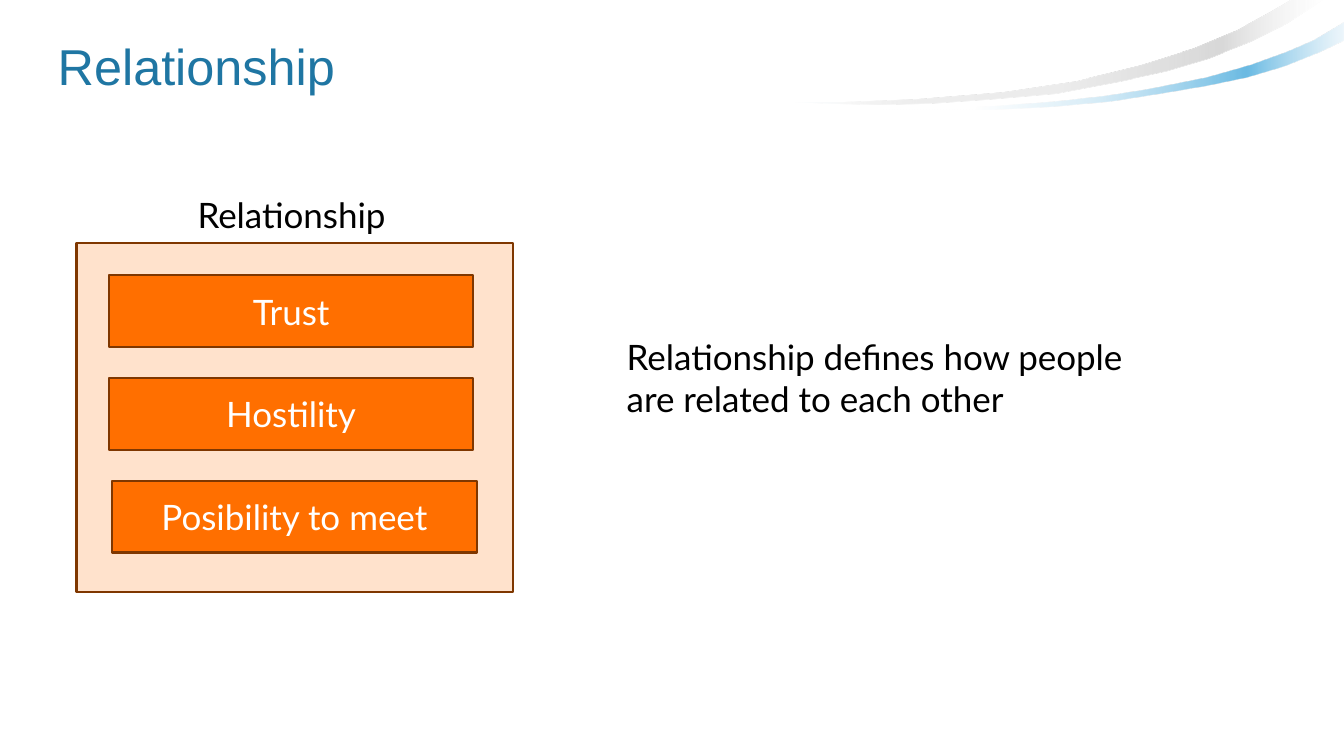
"""Build the Relationship slide."""
from lxml.etree import SubElement
from pptx import Presentation
from pptx.dml.color import RGBColor
from pptx.enum.shapes import MSO_SHAPE as Shape
from pptx.enum.text import MSO_ANCHOR as Anchor, PP_ALIGN as Align
from pptx.oxml.ns import qn
from pptx.util import Pt

COLORS = {
    "title": "1F76A3", "text": "000000", "button_text": "FFFFFF",
    "panel": "FFE2CC", "button": "FF6F00", "border": "7F3700",
    "blue": "2B9DD7", "sky": "80C4E7", "pale": "AAD8EF", "ice": "D5EBF7",
    "mist": "F2F2F2", "silver": "D9D9D9", "grey": "BFBFBF",
}
TITLE = ("Relationship", (34, 10, 890, 74))
PANEL = (54.7, 173.5, 311.8, 249.1)
BUTTONS = [("Trust", 77.6), ("Hostility", 77.6), ("Posibility to meet", 80)]
BUTTON_TOP, BUTTON_PITCH = 196.6, 73.5
BUTTON_WIDTH, BUTTON_HEIGHT = 260.6, 51.1
NOTES = [
    ("Relationship", (134, 134.6, 193, 37)),
    ("Relationship defines how people are related to each other",
     (440.6, 236.2, 391, 67)),
]
SWOOSHES = [
    {
        "points": [
            (960, 16.5), (950.4, 22.3), (938.2, 28.8), (919.4, 36.7),
            (894.2, 46.1), (861.8, 54.7), (821.5, 62.6), (789.8, 67.7),
            (753.8, 72), (714.2, 74.9), (669.6, 77), (621.4, 77.8),
            (594.7, 77.4), (619.2, 78.5), (668.2, 78.5), (706.3, 77.8),
            (748.8, 75.6), (794.2, 72), (831.6, 66.2), (861.8, 61.2),
            (890.6, 54.7), (918, 46.8), (943.2, 36.7), (960, 28.8),
        ],
        "stops": [(0, "ice", 42), (19, "blue", 70), (50, "sky", 29),
                  (72, "sky", 0), (89, "pale", 0), (100, "ice", 0)],
    },
    {
        "points": [
            (563.8, 72.7), (589, 73.9), (627.1, 74.9), (665.3, 74.2),
            (707.8, 71.3), (753.8, 67), (801.4, 58.3), (833, 51.1),
            (863.3, 41.8), (892.8, 30.2), (919.4, 16.6), (944.6, 0),
            (921.6, 0), (907.2, 9.4), (882.7, 21.6), (852.5, 34.6),
            (814.3, 46.8), (769, 57.6), (715.7, 66.2), (654.5, 71.3),
            (601.9, 72.7),
        ],
        "stops": [(0, "mist", 0), (19, "silver", 100), (50, "silver", 46),
                  (72, "silver", 45), (89, "grey", 12), (100, "sky", 0)],
    },
]


def rgb(name):
    return RGBColor.from_string(COLORS[name])


def write(box, text, size=25, font="Lato", color="text",
          align=Align.LEFT, anchor=Anchor.TOP):
    frame = box.text_frame
    frame.word_wrap = True
    frame.vertical_anchor = anchor
    para = frame.paragraphs[0]
    para.alignment = align
    span = para.add_run()
    span.text = text
    span.font.size = Pt(size)
    span.font.name = font
    span.font.color.rgb = rgb(color)


def add_rectangle(page, bounds, fill):
    box = page.shapes.add_shape(Shape.RECTANGLE, *map(Pt, bounds))
    box.shadow.inherit = False
    box.fill.solid()
    box.fill.fore_color.rgb = rgb(fill)
    box.line.color.rgb = rgb("border")
    box.line.width = Pt(1.5)
    return box


def add_swoosh(page, points, stops):
    start, *rest = points
    builder = page.shapes.build_freeform(*start, scale=Pt(1))
    builder.add_line_segments(rest, close=True)
    swoosh = builder.convert_to_shape()
    swoosh.shadow.inherit = False
    swoosh.line.fill.background()
    swoosh.fill.gradient()
    swoosh.fill.gradient_angle = 180
    stop_list = next(swoosh.element.iter(qn("a:gsLst")))
    for old in list(stop_list):
        stop_list.remove(old)
    for position, color, opacity in stops:
        stop = SubElement(stop_list, qn("a:gs"), pos=str(position * 1000))
        shade = SubElement(stop, qn("a:srgbClr"), val=COLORS[color])
        SubElement(shade, qn("a:alpha"), val=str(opacity * 1000))


def main():
    deck = Presentation()
    deck.slide_width, deck.slide_height = Pt(960), Pt(540)
    page = deck.slides.add_slide(deck.slide_layouts[5])

    for swoosh in SWOOSHES:
        add_swoosh(page, **swoosh)

    text, bounds = TITLE
    title = page.shapes.title
    title.left, title.top, title.width, title.height = map(Pt, bounds)
    write(title, text, size=36, font="Arial", color="title",
          anchor=Anchor.MIDDLE)

    add_rectangle(page, PANEL, "panel")
    for index, (text, left) in enumerate(BUTTONS):
        top = BUTTON_TOP + index * BUTTON_PITCH
        button = add_rectangle(
            page, (left, top, BUTTON_WIDTH, BUTTON_HEIGHT), "button")
        write(button, text, color="button_text",
              align=Align.CENTER, anchor=Anchor.MIDDLE)

    for text, bounds in NOTES:
        write(page.shapes.add_textbox(*map(Pt, bounds)), text)

    deck.save("out.pptx")


if __name__ == "__main__":
    main()
